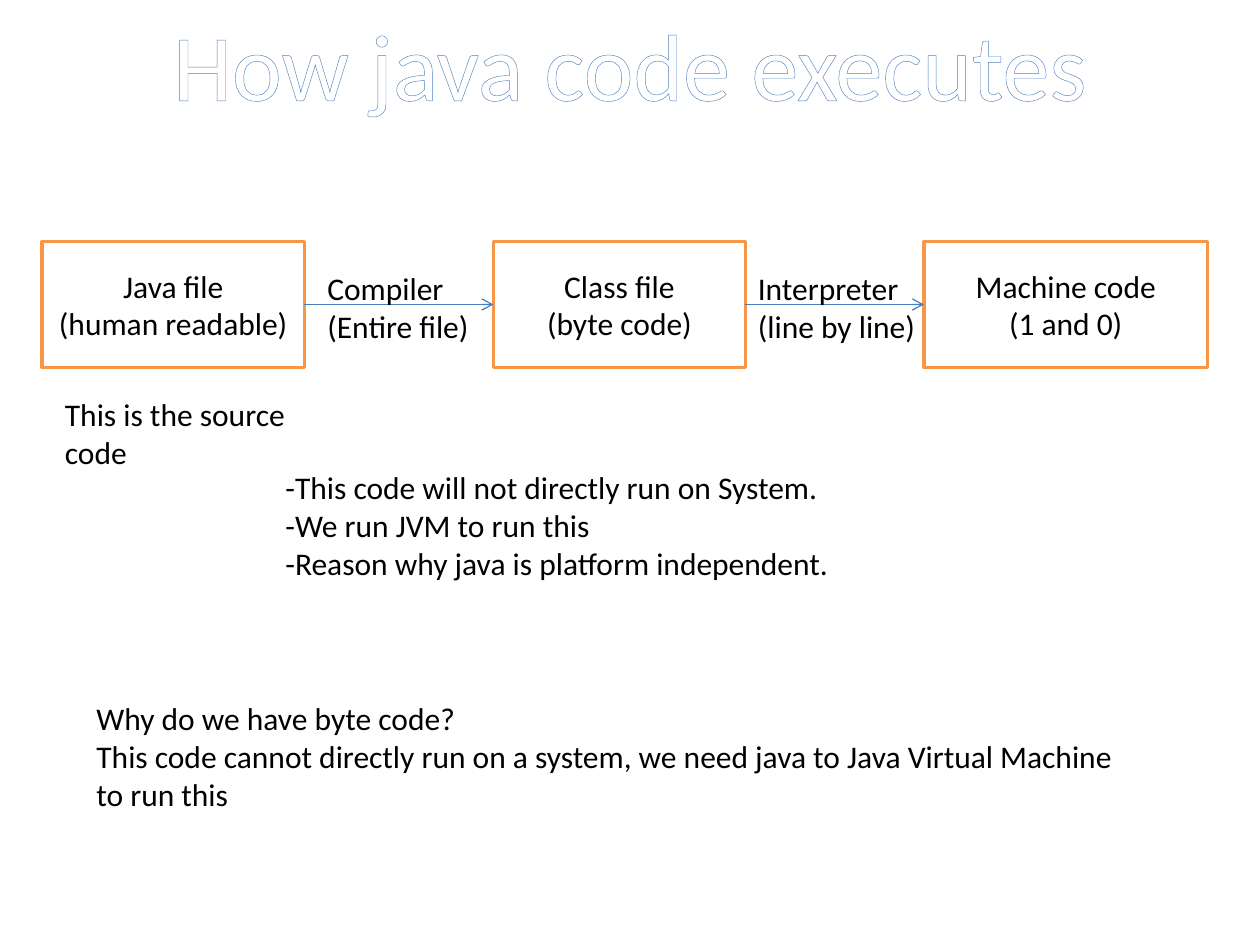
from dataclasses import dataclass

import pptx
import pptx.dml.color
import pptx.enum.shapes
import pptx.enum.text
import pptx.oxml
import pptx.oxml.ns
import pptx.util
from lxml import etree

Pt = pptx.util.Pt
RGBColor = pptx.dml.color.RGBColor
Align = pptx.enum.text.PP_ALIGN
Anchor = pptx.enum.text.MSO_ANCHOR
qn = pptx.oxml.ns.qn

WHITE = RGBColor(0xFF, 0xFF, 0xFF)
BLACK = RGBColor(0x00, 0x00, 0x00)
ORANGE = RGBColor(0xF7, 0x96, 0x46)
TITLE_OUTLINE = RGBColor(0x4F, 0x81, 0xBD)
ARROW_BLUE = RGBColor(0x4B, 0x7E, 0xBC)

FONT = "Calibri"
STAGE_TOP, STAGE_HEIGHT = 138, 72
RIGHT_SITE, LEFT_SITE = 3, 1


@dataclass
class Stage:
    text: str
    left: float
    width: float


@dataclass
class Note:
    text: str
    left: float
    top: float
    width: float
    height: float


STAGES = [
    Stage("Java file\n(human readable)", 24, 150),
    Stage("Class file\n(byte code)", 282, 144),
    Stage("Machine code\n(1 and 0)", 528, 162),
]

NOTES = [
    Note("This is the source code", 30, 222, 162, 51),
    Note("Compiler\n(Entire file)", 180, 150, 108, 51),
    Note("Interpreter\n(line by line)", 426, 150, 114, 51),
    Note(
        "-This code will not directly run on System.\n"
        "-We run JVM to run this\n"
        "-Reason why java is platform independent.",
        156, 264, 492, 72.7,
    ),
    Note(
        "Why do we have byte code?\n"
        "This code cannot directly run on a system, we need java to "
        "Java Virtual Machine to run this",
        48, 396, 600, 72.7,
    ),
]


def write_text(shape, text: str, *, size: float = 18, color: RGBColor = BLACK,
               align: Align = Align.LEFT, anchor: Anchor = Anchor.TOP) -> None:
    frame = shape.text_frame
    frame.text = text
    frame.word_wrap = True
    frame.auto_size = pptx.enum.text.MSO_AUTO_SIZE.NONE
    frame.vertical_anchor = anchor
    for paragraph in frame.paragraphs:
        paragraph.alignment = align
        for run in paragraph.runs:
            run.font.name = FONT
            run.font.size = Pt(size)
            run.font.color.rgb = color


def outline_letters(run, color: RGBColor, width: float) -> None:
    line = pptx.oxml.parse_xml(
        f'<a:ln {pptx.oxml.ns.nsdecls("a")} w="{Pt(width)}"><a:solidFill>'
        f'<a:srgbClr val="{color}"/></a:solidFill></a:ln>'
    )
    run.font._element.insert(0, line)


def add_title(slide, text: str) -> None:
    title = slide.shapes.title
    title.left, title.top, title.width, title.height = Pt(36), Pt(0), Pt(648), Pt(72.7)
    write_text(title, text, size=54, color=WHITE, align=Align.CENTER)
    outline_letters(title.text_frame.paragraphs[0].runs[0], TITLE_OUTLINE, 0.8)


def add_stage(slide, stage: Stage):
    box = slide.shapes.add_shape(
        pptx.enum.shapes.MSO_SHAPE.RECTANGLE,
        Pt(stage.left), Pt(STAGE_TOP), Pt(stage.width), Pt(STAGE_HEIGHT),
    )
    box.shadow.inherit = False
    box.fill.solid()
    box.fill.fore_color.rgb = WHITE
    box.line.color.rgb = ORANGE
    box.line.width = Pt(2)
    write_text(box, stage.text, align=Align.CENTER, anchor=Anchor.MIDDLE)
    return box


def add_arrow(slide, source, target) -> None:
    """Join the right side of one stage to the left side of the next."""
    arrow = slide.shapes.add_connector(
        pptx.enum.shapes.MSO_CONNECTOR.STRAIGHT, Pt(0), Pt(0), Pt(0), Pt(0)
    )
    arrow.begin_connect(source, RIGHT_SITE)
    arrow.end_connect(target, LEFT_SITE)
    arrow.line.color.rgb = ARROW_BLUE
    arrow.line.width = Pt(0.75)
    etree.SubElement(arrow.line._get_or_add_ln(), qn("a:tailEnd"), type="arrow")
    etree.SubElement(arrow._element.spPr, qn("a:effectLst"))


def add_note(slide, note: Note) -> None:
    box = slide.shapes.add_textbox(
        Pt(note.left), Pt(note.top), Pt(note.width), Pt(note.height)
    )
    write_text(box, note.text)


def main() -> None:
    presentation = pptx.Presentation()
    presentation.slide_width, presentation.slide_height = Pt(720), Pt(540)
    title_only = presentation.slide_layouts.get_by_name("Title Only")
    slide = presentation.slides.add_slide(title_only)

    add_title(slide, "How java code executes")
    boxes = [add_stage(slide, stage) for stage in STAGES]
    for source, target in zip(boxes, boxes[1:]):
        add_arrow(slide, source, target)
    for note in NOTES:
        add_note(slide, note)

    presentation.save("out.pptx")


if __name__ == "__main__":
    main()
